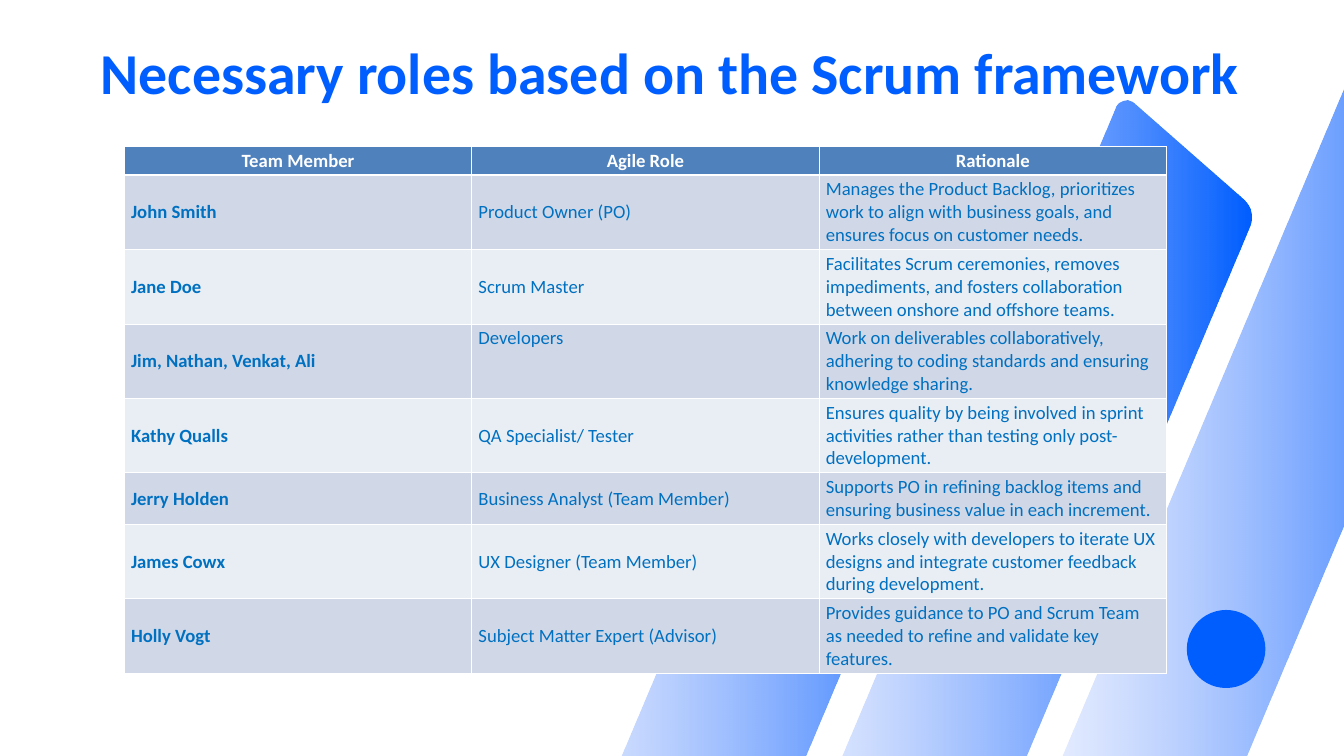
from dataclasses import dataclass

import lxml.etree
import pptx
import pptx.dml.color
import pptx.enum.shapes
import pptx.enum.text
import pptx.oxml.ns
import pptx.util

Cm = pptx.util.Cm
Pt = pptx.util.Pt
qn = pptx.oxml.ns.qn
Color = pptx.dml.color.RGBColor.from_string
Align = pptx.enum.text.PP_ALIGN
Anchor = pptx.enum.text.MSO_ANCHOR


@dataclass(frozen=True)
class Theme:
    font: str = "Calibri"
    title_size: float = 62
    table_size: float = 20
    accent: str = "005EFF"
    accent_pale: str = "82A5FF"
    pale_opacity: int = 20
    header_fill: str = "4F81BD"
    header_text: str = "FFFFFF"
    body_text: str = "0070C0"
    bands: tuple = ("D0D8E8", "E9EDF4")
    border: str = "FFFFFF"
    border_width: float = 1
    header_rule: float = 3


@dataclass(frozen=True)
class Bar:
    left_corner_x: float
    left_corner_y: float


@dataclass(frozen=True)
class Role:
    member: str
    role: str
    rationale: str
    role_anchor: Anchor = Anchor.MIDDLE


THEME = Theme()

BARS = [Bar(39.65, 29.77), Bar(20.14, 36.5), Bar(29.74, 33.5)]

UPPER_CORNERS = [
    ((12.42, -29.44), (12.47, -29.57), (12.6, -29.67), (12.73, -29.69)),
    ((12.73, -29.69), (12.88, -29.74), (13.03, -29.69), (13.13, -29.59)),
    ((17.27, -25.96), (17.55, -25.7), (17.65, -25.3), (17.5, -24.94)),
]
CURVE_STEPS = 8

HEADINGS = ("Team Member", "Agile Role", "Rationale")
ROLES = [
    Role("John Smith", "Product Owner (PO)",
         "Manages the Product Backlog, prioritizes work to align with business goals, "
         "and ensures focus on customer needs."),
    Role("Jane Doe", "Scrum Master",
         "Facilitates Scrum ceremonies, removes impediments, and fosters collaboration "
         "between onshore and offshore teams."),
    Role("Jim, Nathan, Venkat, Ali", "Developers",
         "Work on deliverables collaboratively, adhering to coding standards and "
         "ensuring knowledge sharing.", Anchor.TOP),
    Role("Kathy Qualls", "QA Specialist/ Tester",
         "Ensures quality by being involved in sprint activities rather than testing "
         "only post-development."),
    Role("Jerry Holden", "Business Analyst (Team Member)",
         "Supports PO in refining backlog items and ensuring business value in each "
         "increment."),
    Role("James Cowx", "UX Designer (Team Member)",
         "Works closely with developers to iterate UX designs and integrate customer "
         "feedback during development."),
    Role("Holly Vogt", "Subject Matter Expert (Advisor)",
         "Provides guidance to PO and Scrum Team as needed to refine and validate key "
         "features."),
]


def curve_points(corner: tuple) -> list[tuple[float, float]]:
    points = []
    for step in range(CURVE_STEPS + 1):
        t = step / CURVE_STEPS
        weights = ((1 - t) ** 3, 3 * t * (1 - t) ** 2, 3 * t * t * (1 - t), t ** 3)
        points.append(tuple(sum(w * p[axis] for w, p in zip(weights, corner))
                            for axis in (0, 1)))
    return points


def bar_outline() -> list[tuple[float, float]]:
    upper = [point for corner in UPPER_CORNERS for point in curve_points(corner)]
    end_x, end_y = upper[-1]
    return upper + [(end_x - x, end_y - y) for x, y in upper]


def draw_bar(slide, bar: Bar) -> None:
    points = [(Cm(bar.left_corner_x + x), Cm(bar.left_corner_y + y))
              for x, y in bar_outline()]
    builder = slide.shapes.build_freeform(*points[0])
    builder.add_line_segments(points[1:], close=True)
    shape = builder.convert_to_shape()
    shape.shadow.inherit = False
    shape.line.fill.background()
    shape.fill.gradient()
    shape.fill.gradient_angle = 0
    pale, strong = shape.fill.gradient_stops
    pale.color.rgb, pale.position = Color(THEME.accent_pale), 0
    strong.color.rgb, strong.position = Color(THEME.accent), 1
    pale_color = next(shape.element.iter(qn("a:gs")))[0]
    lxml.etree.SubElement(pale_color, qn("a:alpha"), val=str(THEME.pale_opacity * 1000))


def draw_dot(slide) -> None:
    dot = slide.shapes.add_shape(pptx.enum.shapes.MSO_SHAPE.OVAL,
                                 Cm(44.86), Cm(23.06), Cm(2.97), Cm(2.95))
    dot.shadow.inherit = False
    dot.fill.solid()
    dot.fill.fore_color.rgb = Color(THEME.accent)
    dot.line.fill.background()


def add_run(paragraph, text: str, size: float, color: str, bold: bool) -> None:
    run = paragraph.add_run()
    run.text = text
    run.font.name = THEME.font
    run.font.size = Pt(size)
    run.font.bold = bold
    run.font.color.rgb = Color(color)


def write_title(slide, text: str) -> None:
    title = slide.shapes.title
    title.left, title.top, title.width, title.height = Cm(3.81), Cm(1.37), Cm(46.13), Cm(3.43)
    frame = title.text_frame
    frame.margin_left = frame.margin_top = frame.margin_right = frame.margin_bottom = 0
    frame.vertical_anchor = Anchor.TOP
    frame.auto_size = pptx.enum.text.MSO_AUTO_SIZE.NONE
    frame.word_wrap = True
    paragraph = frame.paragraphs[0]
    paragraph.alignment = Align.LEFT
    add_run(paragraph, text, THEME.title_size, THEME.accent, True)
    slide.shapes.element.append(title.element)


def set_borders(cell, widths: dict[str, float]) -> None:
    properties = cell._tc.get_or_add_tcPr()
    for index, (side, width) in enumerate(widths.items()):
        line = lxml.etree.Element(qn(f"a:ln{side}"), w=str(Pt(width)))
        fill = lxml.etree.SubElement(line, qn("a:solidFill"))
        lxml.etree.SubElement(fill, qn("a:srgbClr"), val=THEME.border)
        properties.insert(index, line)


def fill_cell(cell, text: str, fill: str, color: str, bold: bool, align: Align,
              anchor: Anchor, bottom_rule: float) -> None:
    cell.fill.solid()
    cell.fill.fore_color.rgb = Color(fill)
    cell.vertical_anchor = anchor
    cell.margin_top = cell.margin_bottom = Cm(0.11)
    paragraph = cell.text_frame.paragraphs[0]
    paragraph.alignment = align
    add_run(paragraph, text, THEME.table_size, color, bold)
    thin = THEME.border_width
    set_borders(cell, {"L": thin, "R": thin, "B": bottom_rule})


def draw_roles(slide) -> None:
    table = slide.shapes.add_table(len(ROLES) + 1, len(HEADINGS), Cm(4.7), Cm(5.54),
                                   Cm(39.39), Cm(8.32)).table
    for column, heading in enumerate(HEADINGS):
        fill_cell(table.cell(0, column), heading, THEME.header_fill, THEME.header_text,
                  True, Align.CENTER, Anchor.MIDDLE, THEME.header_rule)
    for row, role in enumerate(ROLES, start=1):
        band = THEME.bands[(row - 1) % len(THEME.bands)]
        for column, text in enumerate((role.member, role.role, role.rationale)):
            anchor = role.role_anchor if column == 1 else Anchor.MIDDLE
            fill_cell(table.cell(row, column), text, band, THEME.body_text,
                      column == 0, Align.LEFT, anchor, THEME.border_width)


def main() -> None:
    deck = pptx.Presentation()
    deck.slide_width, deck.slide_height = Cm(50.8), Cm(28.58)
    slide = deck.slides.add_slide(deck.slide_layouts[5])
    for bar in BARS:
        draw_bar(slide, bar)
    draw_dot(slide)
    write_title(slide, "Necessary roles based on the Scrum framework")
    draw_roles(slide)
    deck.save("out.pptx")


if __name__ == "__main__":
    main()
